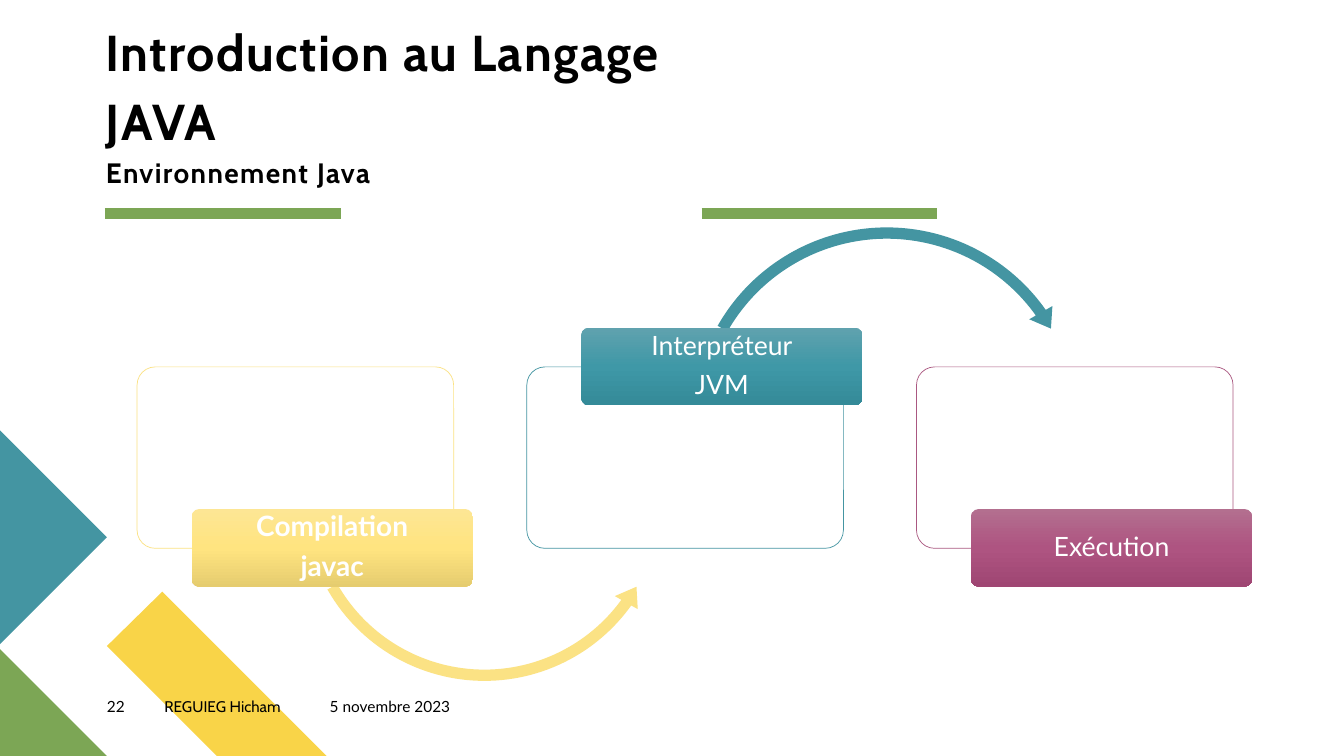
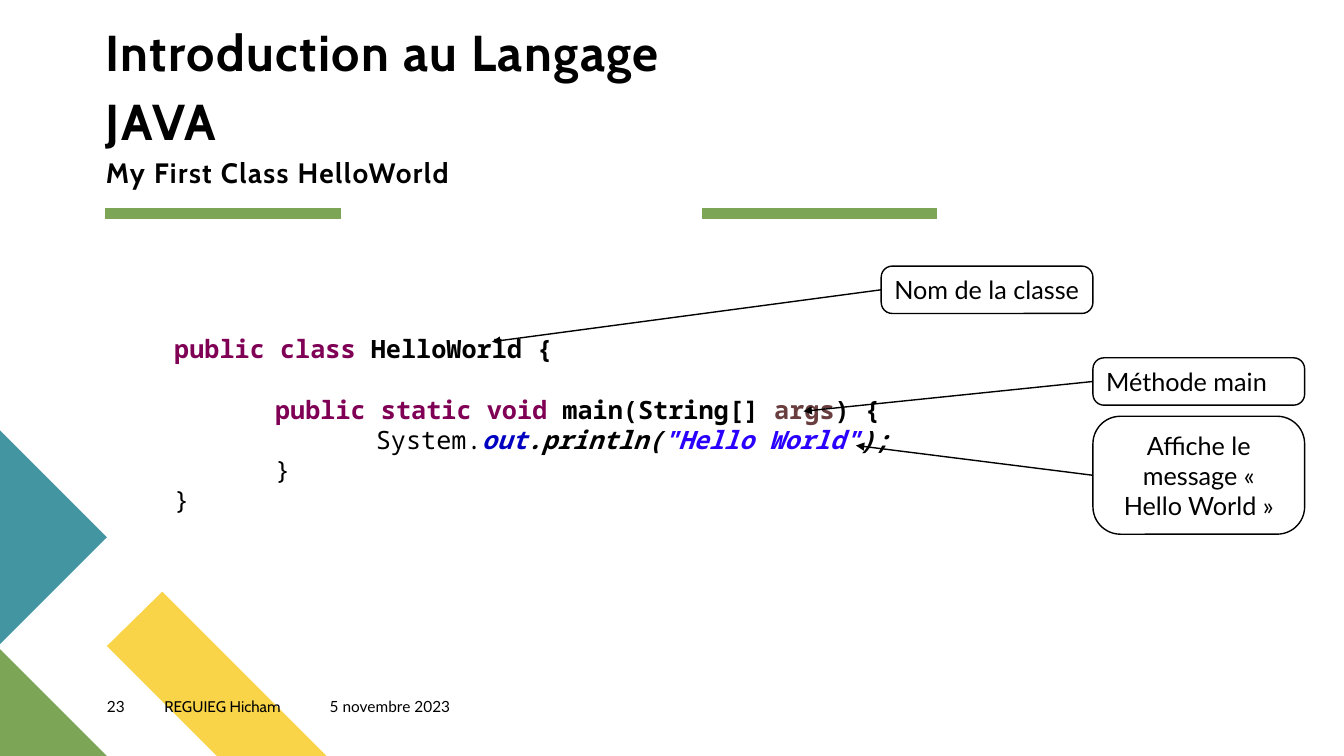
import copy

import lxml.etree
import pptx
import pptx.dml.color
import pptx.enum.shapes
import pptx.enum.text
import pptx.oxml.ns
import pptx.util

Inches = pptx.util.Inches
Pt = pptx.util.Pt
RGBColor = pptx.dml.color.RGBColor
SHAPE = pptx.enum.shapes.MSO_SHAPE
ALIGN = pptx.enum.text.PP_ALIGN
ANCHOR = pptx.enum.text.MSO_ANCHOR
qn = pptx.oxml.ns.qn

BLACK = RGBColor(0x00, 0x00, 0x00)
WHITE = RGBColor(0xFF, 0xFF, 0xFF)
GREEN = RGBColor(0x7C, 0xA6, 0x55)
TEAL = RGBColor(0x44, 0x95, 0xA2)
GOLD = RGBColor(0xF9, 0xD4, 0x48)
YELLOW = RGBColor(0xFB, 0xE2, 0x84)
PLUM = RGBColor(0xAA, 0x58, 0x81)
KEYWORD = RGBColor(0x7F, 0x00, 0x55)
ARGUMENT = RGBColor(0x6A, 0x3E, 0x3E)
FIELD = RGBColor(0x00, 0x00, 0xC0)
STRING = RGBColor(0x2A, 0x00, 0xFF)
YELLOW_SHADES = [RGBColor(0xFD, 0xE6, 0x94), RGBColor(0xFF, 0xE4, 0x80), RGBColor(0xE5, 0xCC, 0x6F)]
TEAL_SHADES = [RGBColor(0x60, 0xA2, 0xAE), RGBColor(0x3F, 0x98, 0xA7), RGBColor(0x34, 0x8A, 0x98)]
PLUM_SHADES = [RGBColor(0xB3, 0x6F, 0x8F), RGBColor(0xAE, 0x54, 0x81), RGBColor(0x9F, 0x46, 0x73)]

TITLE_FONT, BODY_FONT, CODE_FONT = "Cabin", "Lato", "Noto Sans Mono"

TITLE = "Introduction au Langage JAVA"
AUTHOR = "REGUIEG Hicham"
DATE = "5 novembre 2023"

CORNER_PIECES = [
    (GOLD, [(3.24, 7.5), (2.15, 7.5), (1.06, 6.41), (1.61, 5.87)]),
    (GREEN, [(1.06, 7.5), (0, 7.5), (0, 6.44)]),
    (TEAL, [(0, 4.27), (1.06, 5.33), (0, 6.39)]),
]
RULES = [(1.04, 3.38), (6.96, 9.29)]

PANEL_LEFT, PANEL_TOP, PANEL_STEP = 1.36, 3.64, 3.865
TAG_SHIFT, TAG_LOW, TAG_HIGH = 0.54, 5.05, 3.25
STEPS = [
    dict(lines=["Compilation", "javac"], color=YELLOW, shades=YELLOW_SHADES, tag_top=TAG_LOW,
         size=20, bold=True,
         arrow=(SHAPE.LEFT_CIRCULAR_ARROW, (2.94, 3.1, 3.73, 3.73),
                (0.03, 3.713, 21.468, 90.245, 0.035))),
    dict(lines=["Interpréteur", "JVM"], color=TEAL, shades=TEAL_SHADES, tag_top=TAG_HIGH,
         size=19, bold=False,
         arrow=(SHAPE.CIRCULAR_ARROW, (6.79, 2.18, 4.01, 4.01),
                (0.028, 3.438, 194.807, 125.755, 0.033))),
    dict(lines=["Exécution"], color=PLUM, shades=PLUM_SHADES, tag_top=TAG_LOW,
         size=19, bold=False, arrow=None),
]

BOLD = dict(bold=True)
BOLD_KEYWORD = dict(bold=True, color=KEYWORD)
BOLD_ITALIC = dict(bold=True, italic=True)
CODE = [
    (0, [("public class", BOLD_KEYWORD), (" HelloWorld {", BOLD)]),
    (1, [("public static void", BOLD_KEYWORD), (" main(String[] ", BOLD),
         ("args", dict(bold=True, color=ARGUMENT)), (") {", BOLD)]),
    (2, [("System.", {}), ("out", dict(BOLD_ITALIC, color=FIELD)), (".println(", BOLD_ITALIC),
         ("\"Hello World\"", dict(BOLD_ITALIC, color=STRING)), (");", BOLD_ITALIC)]),
    (1, [("}", {})]),
    (0, [("}", {})]),
]
BLANK_LINE = 21.5

CALLOUTS = [
    dict(text="Nom de la classe", at=(8.74, 2.64, 2.1, 0.47), target=(4.88, 3.39), align=ALIGN.LEFT),
    dict(text="Méthode main", at=(10.84, 3.55, 2.1, 0.47), target=(7.97, 4.08), align=ALIGN.LEFT),
    dict(text="Affiche le message «\u00a0Hello World\u00a0»".replace("\u00a0", " "),
         at=(10.84, 4.13, 2.1, 1.17), target=(8.49, 4.42), align=ALIGN.CENTER),
]


def inches(values):
    return [Inches(value) for value in values]


def add_span(para, text, size=18, font=BODY_FONT, color=BLACK, bold=False, italic=False, tracking=0):
    span = para.add_run()
    span.text = text
    span.font.size = Pt(size)
    span.font.name = font
    span.font.color.rgb = color
    span.font.bold = bold
    span.font.italic = italic
    if tracking:
        span._r.get_or_add_rPr().set("spc", str(tracking * 100))


def add_para(box, text, align=ALIGN.LEFT, spacing=None, before=0, after=0, level=0, **style):
    frame = box.text_frame
    para = frame.paragraphs[0] if not frame.paragraphs[0].runs else frame.add_paragraph()
    para.alignment = align
    para.line_spacing = spacing
    para.space_before = Pt(before)
    para.space_after = Pt(after)
    if level:
        para._p.get_or_add_pPr().set("marL", str(Inches(level)))
    spans = [(text, {})] if isinstance(text, str) else text
    for words, extra in spans:
        add_span(para, words, **{**style, **extra})


def set_frame(box, anchor=ANCHOR.TOP, side=0.1, edge=0.05):
    frame = box.text_frame
    frame.word_wrap = True
    frame.vertical_anchor = anchor
    frame.margin_left = frame.margin_right = Inches(side)
    frame.margin_top = frame.margin_bottom = Inches(edge)


def add_box(page, at, **frame_style):
    box = page.shapes.add_textbox(*inches(at))
    set_frame(box, **frame_style)
    return box


def paint(shape, fill=None, line=None, width=1):
    shape.shadow.inherit = False
    if fill is not None:
        shape.fill.solid()
        shape.fill.fore_color.rgb = fill
    if line is None:
        shape.line.fill.background()
    else:
        shape.line.color.rgb = line
        shape.line.width = Pt(width)


def add_shape(page, kind, at, adjustments, **colors):
    shape = page.shapes.add_shape(kind, *inches(at))
    for index, value in enumerate(adjustments):
        shape.adjustments[index] = value
    paint(shape, **colors)
    return shape


def add_line(page, start, end, color, width, arrow=False):
    line = page.shapes.add_connector(
        pptx.enum.shapes.MSO_CONNECTOR.STRAIGHT, *inches(start + end))
    line.line.color.rgb = color
    line.line.width = Pt(width)
    if arrow:
        lxml.etree.SubElement(line.line._get_or_add_ln(), qn("a:tailEnd"), type="triangle")
    lxml.etree.SubElement(line._element.spPr, qn("a:effectLst"))


def fill_gradient(shape, colors):
    shape.fill.gradient()
    shape.fill.gradient_angle = 270
    first = shape.fill.gradient_stops[0]._gs
    first.addnext(copy.deepcopy(first))
    for index, (stop, color) in enumerate(zip(shape.fill.gradient_stops, colors)):
        stop.position = index / (len(colors) - 1)
        stop.color.rgb = color


def add_page(deck, subtitle, number):
    page = deck.slides.add_slide(deck.slide_layouts[6])
    for color, points in CORNER_PIECES:
        start, *others = [tuple(inches(point)) for point in points]
        builder = page.shapes.build_freeform(*start)
        builder.add_line_segments(others, close=True)
        paint(builder.convert_to_shape(), fill=color)
    for left, right in RULES:
        add_line(page, (left, 2.12), (right, 2.12), GREEN, 8)
    title = add_box(page, (1.05, 0.3, 5.96, 1.58), anchor=ANCHOR.BOTTOM, side=0, edge=0)
    for text, size in [(TITLE, 36), (subtitle, 20)]:
        add_para(title, text, size=size, font=TITLE_FONT, bold=True, tracking=1, spacing=1.15)
    footers = [(number, 1.06, 0.57, BODY_FONT), (AUTHOR, 1.63, 1.64, TITLE_FONT),
               (DATE, 3.27, 1.44, BODY_FONT)]
    for text, left, width, font in footers:
        footer = add_box(page, (left, 6.92, width, 0.27), side=0, edge=0)
        add_para(footer, text, size=11, font=font)
    return page


def add_step(page, index, step):
    left = PANEL_LEFT + index * PANEL_STEP
    panel = add_shape(page, SHAPE.ROUNDED_RECTANGLE, (left, PANEL_TOP, 3.14, 1.8), [0.1],
                      fill=WHITE, line=step["color"], width=0.5)
    white = panel._element.spPr.find(".//" + qn("a:srgbClr"))
    lxml.etree.SubElement(white, qn("a:alpha"), val="90000")
    if step["arrow"]:
        add_shape(page, *step["arrow"], fill=step["color"])
    tag = add_shape(page, SHAPE.ROUNDED_RECTANGLE,
                    (left + TAG_SHIFT, step["tag_top"], 2.79, 0.77), [0.1])
    fill_gradient(tag, step["shades"])
    set_frame(tag, anchor=ANCHOR.MIDDLE, side=0.06)
    for text in step["lines"]:
        add_para(tag, text, align=ALIGN.CENTER, spacing=0.9, after=7,
                 size=step["size"], bold=step["bold"], color=WHITE)


def add_callout(page, callout):
    left, top, width, height = callout["at"]
    add_line(page, (left, top + height / 2), callout["target"], BLACK, 1, arrow=True)
    bubble = add_shape(page, SHAPE.ROUNDED_RECTANGLE, callout["at"], [0.233],
                       fill=WHITE, line=BLACK)
    set_frame(bubble, anchor=ANCHOR.MIDDLE)
    add_para(bubble, callout["text"], align=callout["align"])


def main():
    deck = pptx.Presentation()
    deck.slide_width, deck.slide_height = inches((13.33, 7.5))

    page = add_page(deck, "Environnement Java", "22")
    for index, step in enumerate(STEPS):
        add_step(page, index, step)

    page = add_page(deck, "My First Class HelloWorld", "23")
    listing = add_box(page, (1.63, 3.26, 8.36, 1.92))
    for index, (level, spans) in enumerate(CODE):
        add_para(listing, spans, font=CODE_FONT, level=level,
                 before=BLANK_LINE if index == 1 else 0)
    for callout in CALLOUTS:
        add_callout(page, callout)

    deck.save("out.pptx")


if __name__ == "__main__":
    main()
